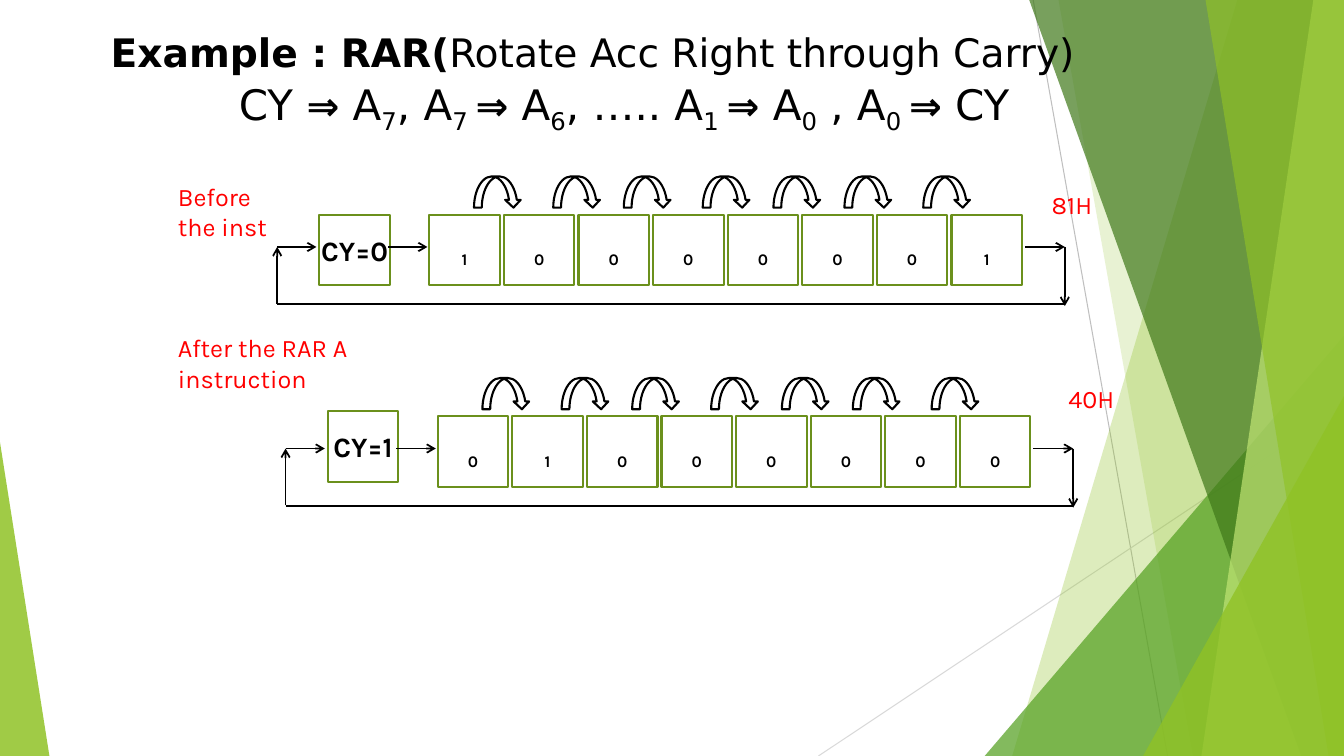
from lxml import etree
from pptx import Presentation
from pptx.dml.color import RGBColor
from pptx.enum.shapes import MSO_CONNECTOR, MSO_SHAPE
from pptx.enum.text import MSO_ANCHOR, PP_ALIGN
from pptx.oxml.ns import qn
from pptx.util import Pt

LIME = RGBColor(0x90, 0xC2, 0x26)
GREEN = RGBColor(0x54, 0xA0, 0x21)
DARK_GREEN = RGBColor(0x3F, 0x78, 0x19)
PALE_GREEN = RGBColor(0xC0, 0xE4, 0x74)
CELL_GREEN = RGBColor(0x6B, 0x90, 0x1C)
GREY = RGBColor(0xBF, 0xBF, 0xBF)
LIGHT_GREY = RGBColor(0xD9, 0xD9, 0xD9)
BLACK = RGBColor(0, 0, 0)
RED = RGBColor(0xFF, 0, 0)

prs = Presentation()
prs.slide_width, prs.slide_height = Pt(960), Pt(540)
s = prs.slides.add_slide(prs.slide_layouts[6])


def add_run(p, text, size=20, font="Karla", color=BLACK, bold=False, base=0):
    r = p.add_run()
    r.text = text
    r.font.size, r.font.name, r.font.bold = Pt(size), font, bold
    r.font.color.rgb = color
    if base:
        r.font._element.set("baseline", str(base * 1000))


def add_line(x1, y1, x2, y2, color=BLACK, width=1.25, arrow=False):
    c = s.shapes.add_connector(MSO_CONNECTOR.STRAIGHT, Pt(x1), Pt(y1), Pt(x2), Pt(y2))
    c.line.color.rgb, c.line.width = color, Pt(width)
    if arrow:
        etree.SubElement(c.line._get_or_add_ln(), qn("a:tailEnd"), type="arrow")
    etree.SubElement(c._element.spPr, qn("a:effectLst"))


# Background lines
add_line(738, 0, 834, 540, GREY, 0.75)
add_line(960, 290, 584.6, 540, LIGHT_GREY, 0.75)

# Background facets: bands (top x, bottom x) and triangles (left, top, width, apex)
facets = [
    ("band", (884, 723), LIME, 30),
    ("band", (756, 852), LIME, 20),
    ("triangle", (703.4, 239.8, 256.6, 1), GREEN, 72),
    ("band", (735, 929.5), DARK_GREEN, 70),
    ("band", (938.2, 858.2), PALE_GREEN, 70),
    ("band", (861, 949), LIME, 65),
    ("triangle", (816.5, 283, 143.5, 1), LIME, 80),
    ("triangle", (0, 316, 35.3, 0), LIME, 85),
]
for kind, place, color, opacity in facets:
    if kind == "band":
        x_top, x_bottom = place
        fb = s.shapes.build_freeform(Pt(x_top), Pt(-0.6))
        fb.add_line_segments([(Pt(960), Pt(-0.6)), (Pt(960), Pt(540)), (Pt(x_bottom), Pt(540))])
        sp = fb.convert_to_shape()
    else:
        x, y, w, apex = place
        sp = s.shapes.add_shape(MSO_SHAPE.ISOSCELES_TRIANGLE, Pt(x), Pt(y), Pt(w), Pt(540 - y))
        sp.adjustments[0] = apex
    sp.shadow.inherit = False
    sp.line.fill.background()
    sp.fill.solid()
    sp.fill.fore_color.rgb = color
    rgb = sp._element.spPr.find(qn("a:solidFill")).find(qn("a:srgbClr"))
    etree.SubElement(rgb, qn("a:alpha"), val=str(opacity * 1000))

# Title and rotation rule
tf = s.shapes.add_textbox(Pt(72), Pt(0), Pt(768), Pt(433)).text_frame
tf.word_wrap = True
p = tf.paragraphs[0]
p.line_spacing = 1.5
add_run(p, "Example : RAR(", size=28, font="DejaVu Sans", bold=True)
add_run(p, "Rotate Acc Right through Carry)", size=28, font="DejaVu Sans")
p = tf.add_paragraph()
p.space_before = Pt(2)
p._p.get_or_add_pPr().set("marL", str(Pt(91.6)))
rule = ["CY ", "⇒", " A", "_7", ", A", "_7 ", "⇒", " A", "_6", ", ….. A", "_1 ",
        "⇒", " A", "_0", " , A", "_0 ", "⇒", " CY"]
for part in rule:
    arrow = part == "⇒"
    add_run(p, part.lstrip("_"), size=28 if arrow else 30, font="DejaVu Sans",
            bold=arrow, base=-25 if part.startswith("_") else 0)

# Register rows: offset, carry box top, carry text, bits
rows = [(0, 0, 153.4, "CY=0", "10000001"), (6, 144, 293.8, "CY=1", "01000000")]
CELL, STEP = 50.4, 53.28
ARROW_X = [338.6, 395.2, 445.6, 502, 552.5, 603.2, 659.5]
for dx, dy, carry_y, carry, bits in rows:
    # Boxes for the bits and the carry flag
    boxes = [(306.7 + dx + i * STEP, 153.4 + dy, bit, -25) for i, bit in enumerate(bits)]
    boxes.append((228.2 + dx, carry_y, carry, 0))
    for x, y, text, base in boxes:
        sp = s.shapes.add_shape(MSO_SHAPE.RECTANGLE, Pt(x), Pt(y), Pt(CELL), Pt(CELL))
        sp.shadow.inherit = False
        sp.fill.background()
        sp.line.color.rgb, sp.line.width = CELL_GREEN, Pt(1.5)
        tf = sp.text_frame
        tf.margin_left = tf.margin_right = tf.margin_top = tf.margin_bottom = 0
        tf.vertical_anchor = MSO_ANCHOR.MIDDLE
        tf.word_wrap = base != 0
        p = tf.paragraphs[0]
        p.alignment = PP_ALIGN.CENTER
        add_run(p, text, bold=True, base=base)

    # Curved shift arrows
    for x in ARROW_X:
        sp = s.shapes.add_shape(MSO_SHAPE.CURVED_DOWN_ARROW, Pt(x + dx), Pt(126 + dy), Pt(33.8), Pt(22.3))
        sp.shadow.inherit = False
        sp.fill.background()
        sp.line.color.rgb, sp.line.width = BLACK, Pt(1.5)

    # Loop from the last bit back to the carry flag
    for x1, y1, x2, y2, arrow in [
        (277.2, 176.4, 305.3, 176.4, True),
        (198, 176.4, 226, 176.4, True),
        (198, 217, 198, 176.4, True),
        (198, 217.4, 760.6, 217.4, False),
        (760.6, 176.4, 760.6, 218.6, True),
        (732.2, 176.4, 760.6, 176.4, True),
    ]:
        add_line(x1 + dx, y1 + dy, x2 + dx, y2 + dy, arrow=arrow)

# Red labels
for x, y, w, h, text in [
    (744, 132, 60, 30, "81H"),
    (120, 126, 96, 51, "Before the inst"),
    (756, 270, 60, 30, "40H"),
    (120, 234, 156, 51, "After the RAR A instruction"),
]:
    tf = s.shapes.add_textbox(Pt(x), Pt(y), Pt(w), Pt(h)).text_frame
    tf.word_wrap = True
    add_run(tf.paragraphs[0], text, size=18, color=RED)

prs.save("out.pptx")
